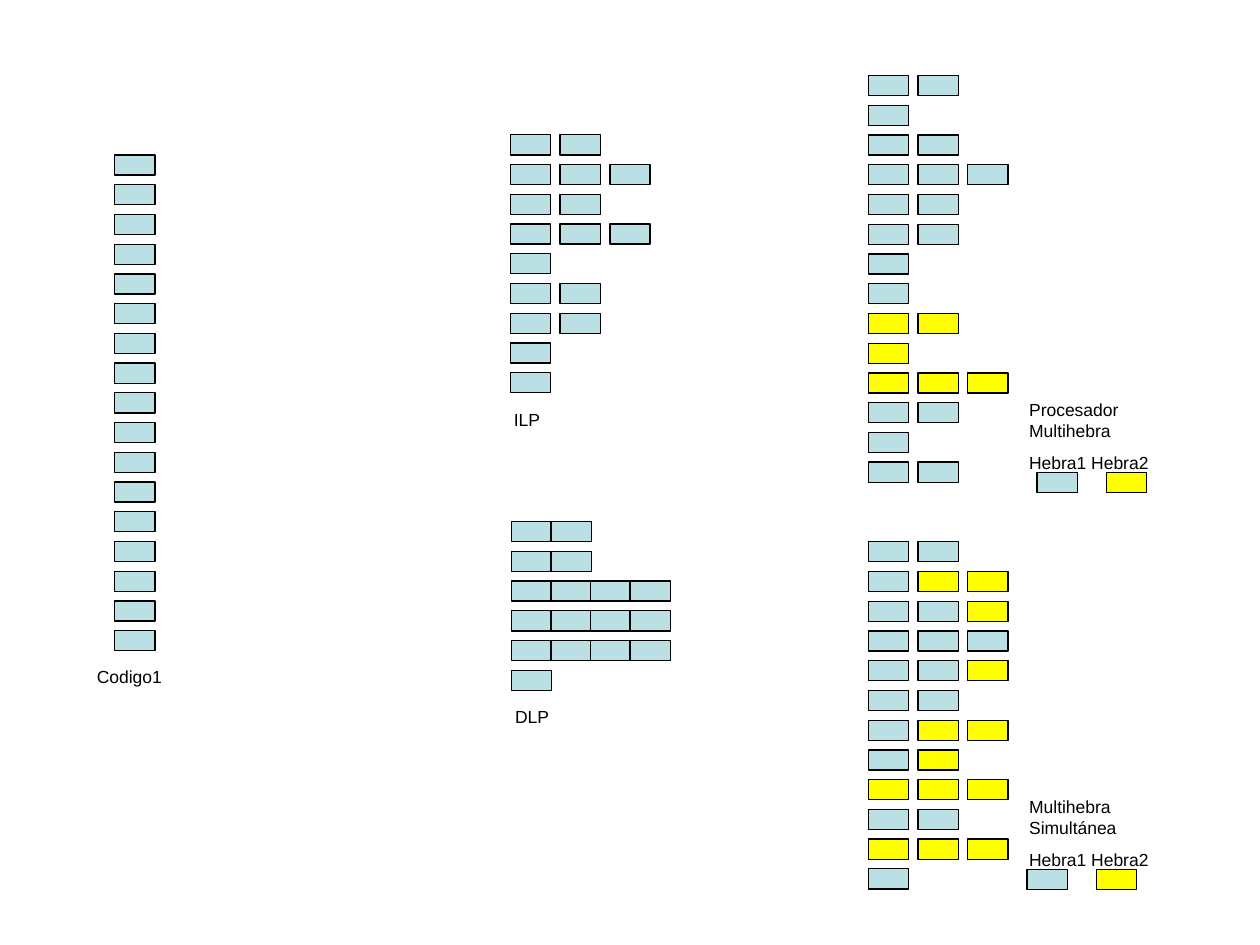
from pptx import Presentation
from pptx.dml.color import RGBColor
from pptx.enum.shapes import MSO_SHAPE
from pptx.util import Inches, Pt

RECT = MSO_SHAPE.RECTANGLE
BLACK = RGBColor(0x00, 0x00, 0x00)
FILLS = {"B": RGBColor(0xBB, 0xE0, 0xE3), "Y": RGBColor(0xFF, 0xFF, 0x00)}

CELL_W, CELL_H = Inches(0.32), Inches(0.16)
ROW = Inches(2.36) / 10
GAPPED = Inches(0.79) / 2
JOINED = Inches(0.94) / 3
LEGEND = Inches(0.55)

SERIAL = ["B"] * 17
ILP = "BB BBB BB BBB B BB BB B B".split()
DLP = "BB BB BBBB BBBB BBBB B".split()
MULTI = "BB B BB BBB BB BB B B YY Y YYY BB B BB".split()
SIMUL = "BB BYY BBY BBB BBY BB BYY BY YYY BB YYY B".split()


def add_cell(slide, left, top, color):
    cell = slide.shapes.add_shape(RECT, left, top, CELL_W, CELL_H)
    cell.shadow.inherit = False
    cell.fill.solid()
    cell.fill.fore_color.rgb = color
    cell.line.color.rgb = BLACK
    cell.line.width = Pt(0.75)


def add_grid(slide, left, top, rows, step=GAPPED):
    for i, row in enumerate(rows):
        for j, thread in enumerate(row):
            add_cell(slide, round(left + j * step), round(top + i * ROW),
                     FILLS[thread])


def add_label(slide, left, top, width, height, lines):
    frame = slide.shapes.add_textbox(left, top, width, height).text_frame
    frame.word_wrap = True
    frame.text = "\n".join(lines)
    for para in frame.paragraphs:
        para.space_before = Pt(6.2)
        para.font.name = "Arial"
        para.font.size = Pt(10)
        para.font.color.rgb = BLACK


def add_serial(slide, left, top):
    add_grid(slide, left + Inches(0.24), top, SERIAL)
    add_label(slide, left, top + Inches(4.01), Inches(0.79), Inches(0.27),
              ["Codigo1"])


def add_parallel(slide, left, top, rows, step, name):
    add_grid(slide, left, top, rows, step)
    add_label(slide, left - Inches(0.07), round(top + len(rows) * ROW),
              Inches(1.1), Inches(0.27), [name])


def add_threads(slide, left, top, rows, name, note, height, key, drop):
    add_grid(slide, left, top, rows)
    add_label(slide, left + Inches(1.18), top + note, Inches(1.57), height,
              [name, "Hebra1 Hebra2"])
    add_grid(slide, left + key, top + drop, ["BY"], LEGEND)


def main():
    deck = Presentation()
    deck.slide_width, deck.slide_height = Inches(10), Inches(7.5)
    slide = deck.slides.add_slide(deck.slide_layouts[6])

    add_serial(slide, Inches(0.67), Inches(1.23))
    add_parallel(slide, Inches(4.05), Inches(1.07), ILP, GAPPED, "ILP")
    add_parallel(slide, Inches(4.06), Inches(4.14), DLP, JOINED, "DLP")
    add_threads(slide, Inches(6.89), Inches(0.6), MULTI,
                "Procesador Multihebra", Inches(2.52), Inches(0.69),
                Inches(1.34), Inches(3.15))
    add_threads(slide, Inches(6.89), Inches(4.3), SIMUL,
                "Multihebra Simultánea", Inches(1.97), Inches(0.52),
                Inches(1.26), Inches(2.6))
    deck.save("out.pptx")


if __name__ == "__main__":
    main()
